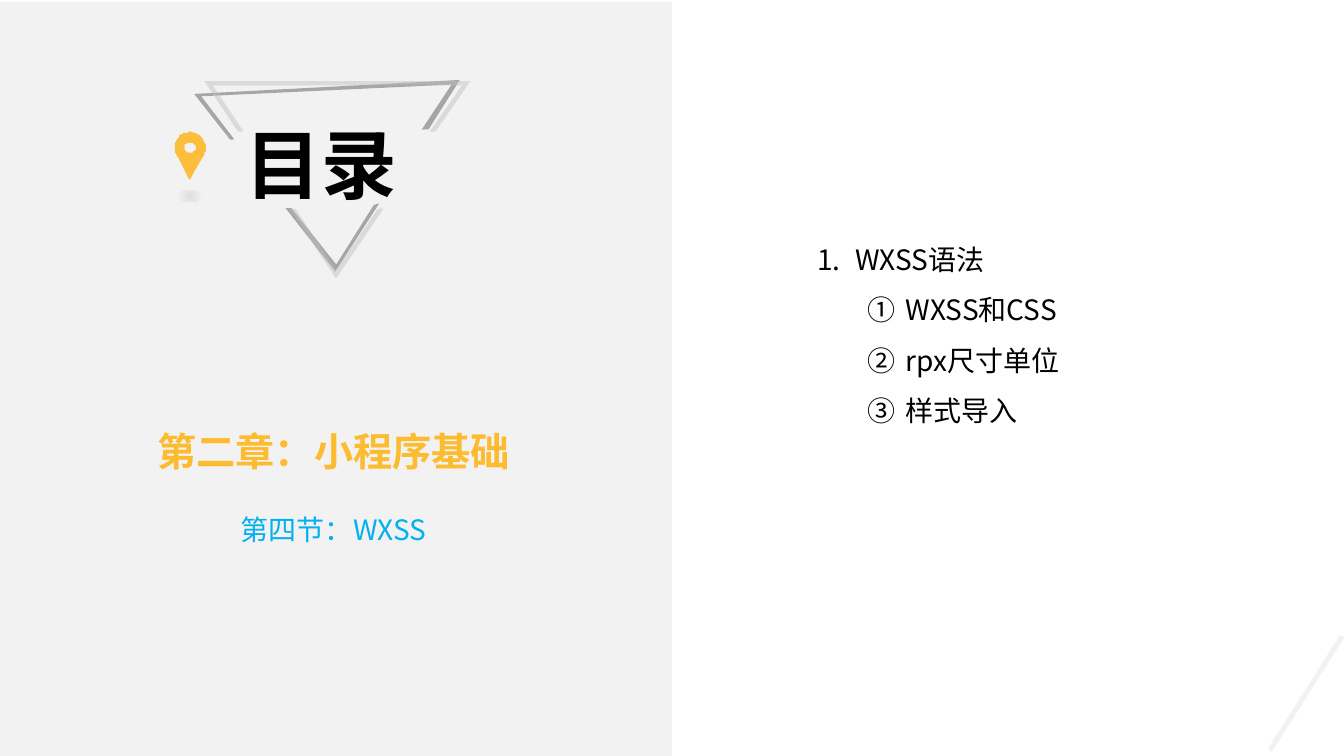
from math import cos, sin, radians
from lxml.etree import SubElement
from pptx import Presentation
from pptx.dml.color import RGBColor
from pptx.enum.shapes import MSO_SHAPE
from pptx.enum.text import MSO_ANCHOR, MSO_AUTO_SIZE, PP_ALIGN
from pptx.oxml.ns import qn
from pptx.util import Pt

FONT = "Noto Sans CJK SC"
GREY, GOLD = "F2F2F2", "FDBB2F"
TITLE = {"size": Pt(54), "bold": True}
HEAD = {"size": Pt(28), "bold": True}
BODY = {"size": Pt(20), "bold": False}
TOPICS = [(0, "WXSS语法"), (1, "WXSS和CSS"), (1, "rpx尺寸单位"), (1, "样式导入")]
# Bullet style, left margin in points, by level
LEVELS = [("arabicPeriod", 27), ("circleNumDbPlain", 63)]
DARK = [
    [(203.8, 149), (208.1, 149), (239.8, 188.6), (267.1, 146.2),
     (271.4, 145.4), (239.8, 194.4)],
    [(138.2, 67), (328.3, 56.9), (306, 92.2), (301.7, 92.2),
     (322.6, 60.5), (144, 69.1), (167.8, 99.4), (164.2, 99.4)],
]
LIGHT = [
    [(207.4, 149), (211, 149), (240.5, 193), (270, 149),
     (274.3, 149), (240.5, 198.7)],
    [(146.2, 58.3), (335.5, 58.3), (311, 94.3), (307.4, 94.3),
     (329.8, 61.2), (151.9, 61.2), (174.2, 94.3), (169.9, 94.3)],
]


def paint(color, text):
    """Set a color format from a hex string."""
    color.rgb = RGBColor.from_string(text)


def fade(node, share):
    """Give a color node an opacity in percent."""
    SubElement(node, qn("a:alpha"), val=str(share * 1000))


def finish(shape, color, share=100):
    """Fill a shape flat, with no outline or shadow."""
    shape.shadow.inherit = False
    shape.line.fill.background()
    shape.fill.solid()
    paint(shape.fill.fore_color, color)
    if share < 100:
        fade(next(shape._element.iter(qn("a:srgbClr"))), share)
    return shape


def block(slide, kind, box, color, turn=0):
    """Add a preset shape."""
    shape = slide.shapes.add_shape(kind, *map(Pt, box))
    shape.rotation = turn
    return finish(shape, color)


def outline(slide, parts, color, share=100):
    """Add closed polygons as one freeform."""
    first, *rest = parts
    build = slide.shapes.build_freeform(*first[0], scale=Pt(1))
    build.add_line_segments(first[1:])
    for part in rest:
        build.move_to(*part[0])
        build.add_line_segments(part[1:])
    return finish(build.convert_to_shape(), color, share)


def swing(parts, angle, mid):
    """Turn polygons about a point."""
    c, s = cos(radians(angle)), sin(radians(angle))
    x0, y0 = mid
    return [[(x0 + (x - x0) * c - (y - y0) * s,
              y0 + (x - x0) * s + (y - y0) * c) for x, y in part]
            for part in parts]


def arc(x, y, size, start, end):
    """Return points on an arc, six degrees apart or less."""
    steps = -(-abs(end - start) // 6)
    turns = [radians(start + (end - start) * i / steps) for i in range(steps + 1)]
    return [(x + size * cos(t), y + size * sin(t)) for t in turns]


def pin(slide):
    """Add the map pin and the soft spot under it."""
    x, y = 135.8, 105.4
    head = arc(x, y, 11.1, 35, -215)
    tip = [(x - 2.4, 123.8), (x - 0.6, 127.8), (x + 0.6, 127.8), (x + 2.4, 123.8)]
    outline(slide, [head + tip, arc(x, y, 3.9, 0, 360)], GOLD, 93)
    spot = block(slide, MSO_SHAPE.OVAL, (124.6, 136.1, 22.3, 7.9), "D9D9D9")
    spot.fill.gradient()
    grad = spot._element.spPr.find(qn("a:gradFill"))
    for child in list(grad):
        grad.remove(child)
    stops = SubElement(grad, qn("a:gsLst"))
    for place, share in ((0, 82), (70, 0), (100, 0)):
        stop = SubElement(stops, qn("a:gs"), pos=str(place * 1000))
        fade(SubElement(stop, qn("a:srgbClr"), val="D9D9D9"), share)
    way = SubElement(grad, qn("a:path"), path="circle")
    SubElement(way, qn("a:fillToRect"), l="50000", t="50000", r="50000", b="50000")


def write(para, text, form, color):
    """Write one run in a paragraph."""
    run = para.add_run()
    run.text = text
    for name, value in form.items():
        setattr(run.font, name, value)
    paint(run.font.color, color)
    run.font.name = FONT
    SubElement(run._r.get_or_add_rPr(), qn("a:ea"), typeface=FONT)


def frame(shape, box, wrap=True):
    """Place a text shape and return its text frame."""
    for name, value in zip(("left", "top", "width", "height"), box):
        setattr(shape, name, Pt(value))
    form = {"word_wrap": wrap, "vertical_anchor": MSO_ANCHOR.TOP,
            "auto_size": MSO_AUTO_SIZE.SHAPE_TO_FIT_TEXT}
    for name, value in form.items():
        setattr(shape.text_frame, name, value)
    return shape.text_frame


def label(slide, box, text, form, color):
    """Add a centred line of text."""
    shape = slide.shapes.add_textbox(0, 0, 0, 0)
    para = frame(shape, box).paragraphs[0]
    para.alignment = PP_ALIGN.CENTER
    write(para, text, form, color)


def topics(slide, box):
    """Add the numbered list of topics."""
    body = frame(slide.shapes.add_textbox(0, 0, 0, 0), box)
    for i, (level, text) in enumerate(TOPICS):
        para = body.add_paragraph() if i else body.paragraphs[0]
        para.level, para.line_spacing = level, 1.5
        style, left = LEVELS[level]
        props = para._p.get_or_add_pPr()
        props.set("marL", str(Pt(left)))
        props.set("indent", str(Pt(-27)))
        SubElement(props, qn("a:buFont"), typeface=FONT)
        SubElement(props, qn("a:buAutoNum"), type=style)
        write(para, text, BODY, "000000")


def main():
    """Build the contents slide."""
    deck = Presentation()
    deck.slide_width, deck.slide_height = Pt(960), Pt(540)
    slide = deck.slides.add_slide(deck.slide_layouts[5])
    panel = block(slide, MSO_SHAPE.RECTANGLE, (0, 1.4, 480, 540), GREY)
    title = slide.shapes.title
    title._element.addprevious(panel._element)
    para = frame(title, (168.5, 80.6, 123.8, 72.7), wrap=False).paragraphs[0]
    para.alignment = PP_ALIGN.LEFT
    write(para, "目录", TITLE, "000000")
    label(slide, (64.8, 301.7, 347, 41), "第二章：小程序基础", HEAD, GOLD)
    pin(slide)
    dark = outline(slide, swing(DARK, 3, (236.5, 128.2)), "A6A6A6")
    dark.rotation = 357
    outline(slide, LIGHT, "BFBFBF", 47)
    block(slide, MSO_SHAPE.RECTANGLE, (931, 447.1, 3.6, 96.5), GREY, 32.4)
    label(slide, (64.8, 362.2, 347, 31.7), "第四节：WXSS", BODY, "00B0F0")
    topics(slide, (576.7, 157.7, 313.2, 152.6))
    deck.save("out.pptx")


main()
